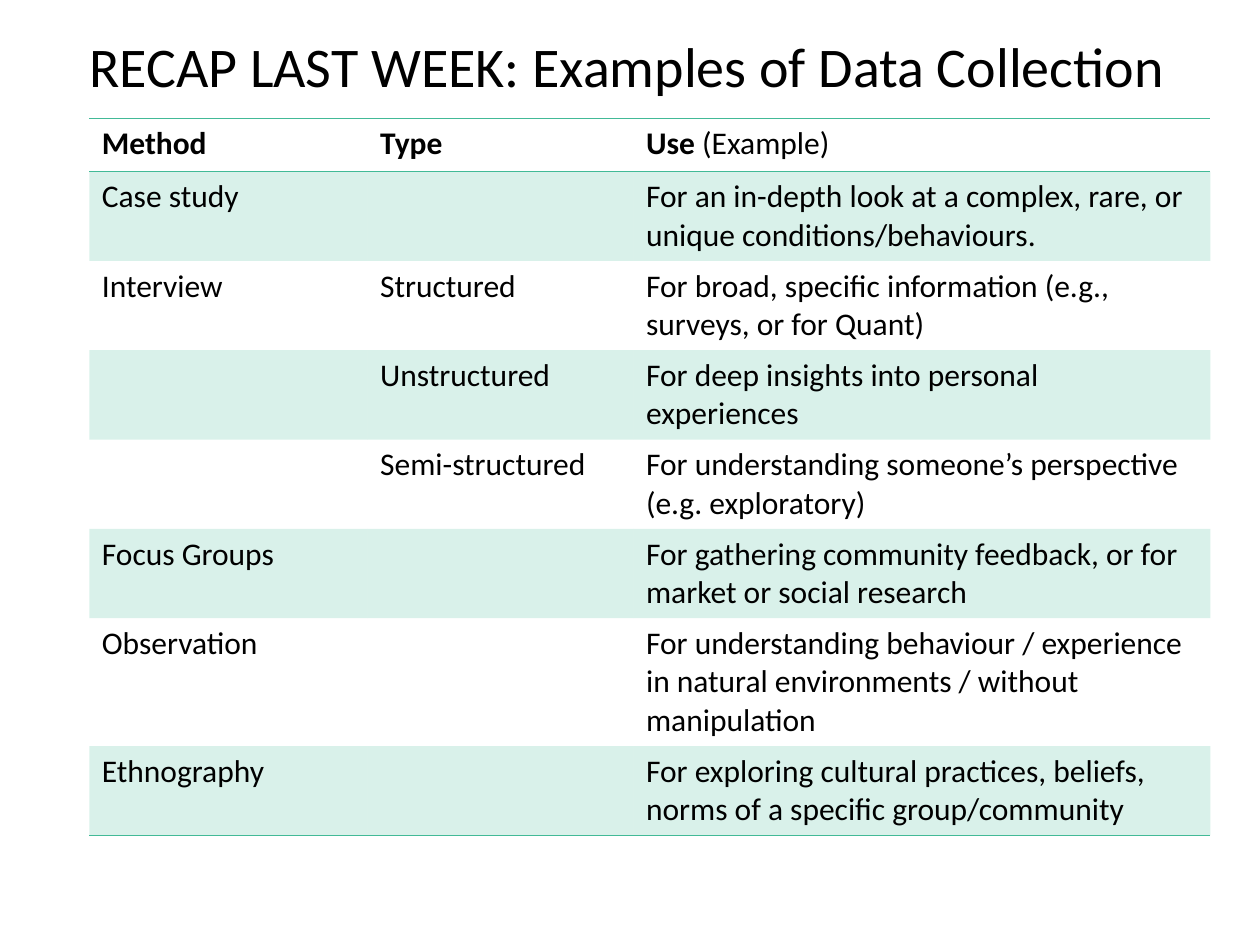
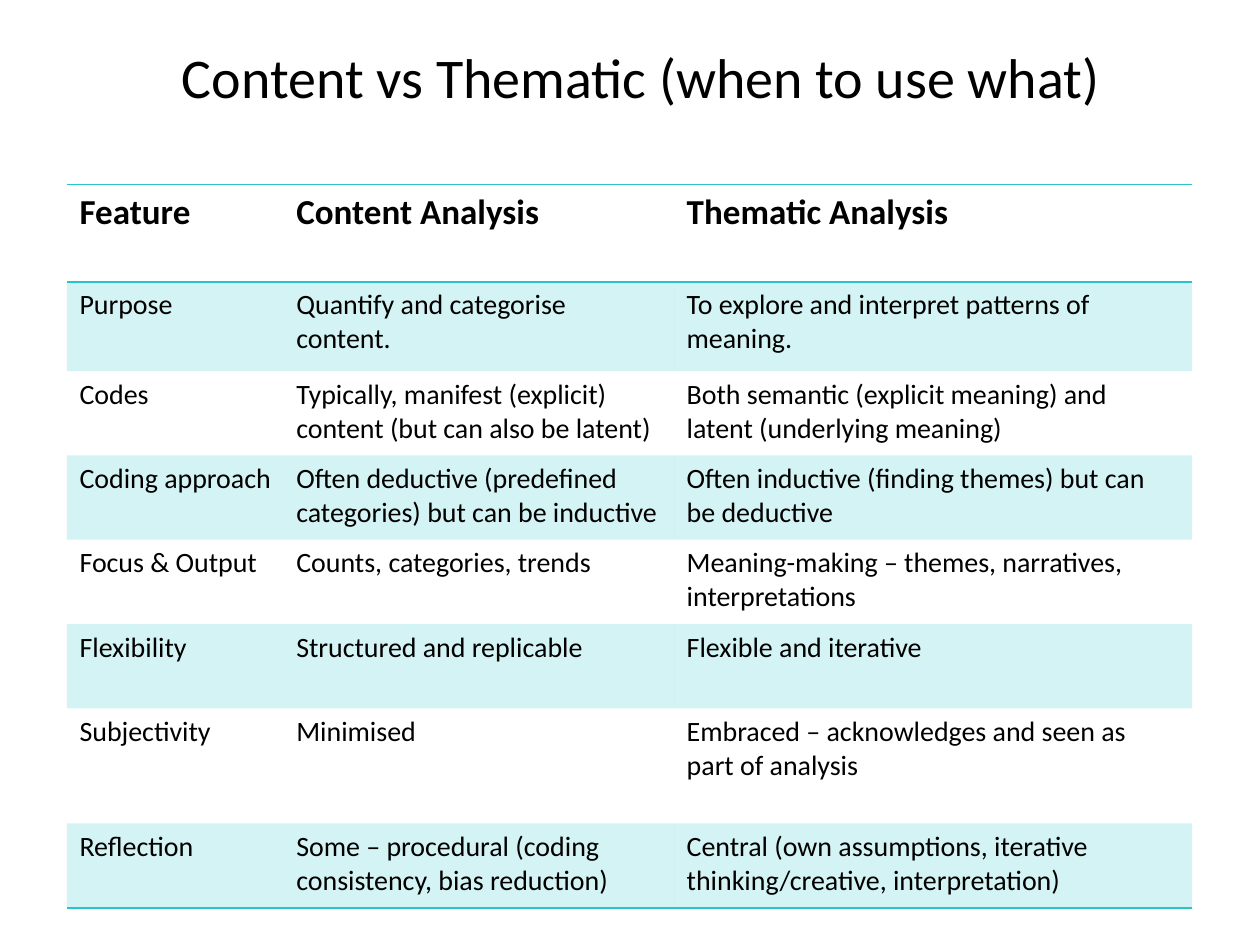
from lxml import etree
from pptx import Presentation
from pptx import util as u
from pptx.dml.color import RGBColor
from pptx.enum import text
from pptx.oxml.ns import qn

COLOURS = {"text": "000000", "green": "42BA97", "teal": "28C4CC"}
FONT = "Calibri"
BAND_ALPHA = 20
PLAIN_STYLE = "{2D5ABB26-0587-4C30-8999-92F81FD0307C}"

RECAP = {
    "title": "RECAP LAST WEEK: Examples of Data Collection",
    "title_box": (1.8, 0.66, 21.69, 2.31),
    "table_at": (1.8, 2.39),
    "accent": "green",
    "sizes": (18, 18),
    "cols": (5.61, 5.36, 11.63),
    "heights": (1.07, *[1.8] * 5, 2.58, 1.8),
    "rows": [
        ("Method", "Type", ("Use ", "(Example)")),
        ("Case study", "",
         "For an in-depth look at a complex, rare, or unique conditions/behaviours."),
        ("Interview", "Structured",
         "For broad, specific information (e.g., surveys, or for Quant)"),
        ("", "Unstructured", "For deep insights into personal experiences"),
        ("", "Semi-structured",
         "For understanding someone’s perspective (e.g. exploratory)"),
        ("Focus Groups", "",
         "For gathering community feedback, or for market or social research"),
        ("Observation", "",
         "For understanding behaviour / experience in natural environments"
         " / without manipulation"),
        ("Ethnography", "",
         "For exploring cultural practices, beliefs, norms of a specific group/community"),
    ],
}

COMPARISON = {
    "title": "Content vs Thematic (when to use what)",
    "title_box": (2.08, 0.89, 21.69, 1.96),
    "table_at": (1.35, 3.72),
    "accent": "teal",
    "sizes": (20, 16),
    "cols": (4.37, 7.87, 10.44),
    "heights": (1.96, 1.8, *[1.7] * 4, 2.32, 1.7),
    "rows": [
        ("Feature", "Content Analysis", "Thematic Analysis"),
        ("Purpose", "Quantify and categorise content.",
         "To explore and interpret patterns of meaning."),
        ("Codes", "Typically, manifest (explicit) content (but can also be latent)",
         "Both semantic (explicit meaning) and latent (underlying meaning)"),
        ("Coding approach",
         "Often deductive (predefined categories) but can be inductive",
         "Often inductive (finding themes) but can be deductive"),
        ("Focus & Output", "Counts, categories, trends",
         "Meaning-making – themes, narratives, interpretations"),
        ("Flexibility", "Structured and replicable", "Flexible and iterative"),
        ("Subjectivity", "Minimised",
         "Embraced – acknowledges and seen as part of analysis"),
        ("Reflection", "Some – procedural (coding consistency, bias reduction)",
         "Central (own assumptions, iterative thinking/creative, interpretation)"),
    ],
}


def set_attrs(obj, **values):
    for name, value in values.items():
        setattr(obj, name, value)


def add_run(p, words, size, bold=False):
    r = p.add_run()
    r.text = words
    set_attrs(r.font, name=FONT, size=u.Pt(size), bold=bold)
    r.font.color.rgb = RGBColor.from_string(COLOURS["text"])


def add_title(slide, words, box):
    tf = slide.shapes.add_textbox(*map(u.Cm, box)).text_frame
    set_attrs(tf, word_wrap=True, margin_left=0, margin_right=0,
              vertical_anchor=text.MSO_ANCHOR.TOP)
    p = tf.paragraphs[0]
    set_attrs(p, alignment=text.PP_ALIGN.CENTER, line_spacing=0.9)
    add_run(p, words, 32)


def add_border(cell, side, colour):
    """Rule one edge of a cell; side is a tag such as a:lnT."""
    ln = etree.SubElement(cell._tc.get_or_add_tcPr(), qn(side), w=str(u.Pt(1)))
    fill = etree.SubElement(ln, qn("a:solidFill"))
    etree.SubElement(fill, qn("a:srgbClr"), val=colour)


def fill_band(cell, colour):
    cell.fill.solid()
    cell.fill.fore_color.rgb = RGBColor.from_string(colour)
    srgb = cell._tc.tcPr.find(qn("a:solidFill")).find(qn("a:srgbClr"))
    etree.SubElement(srgb, qn("a:alpha"), val=str(BAND_ALPHA * 1000))


def write_cell(cell, content, size, header):
    """Write a string, or a tuple whose first part alone takes the header weight."""
    parts = content if isinstance(content, tuple) else (content,)
    for i, part in enumerate(parts):
        if part:
            add_run(cell.text_frame.paragraphs[0], part, size, header and i == 0)


def add_banded_table(slide, spec_sheet):
    rows, cols, heights = (spec_sheet[k] for k in ("rows", "cols", "heights"))
    colour = COLOURS[spec_sheet["accent"]]
    header_size, body_size = spec_sheet["sizes"]
    box = (*spec_sheet["table_at"], sum(cols), sum(heights))
    frame = slide.shapes.add_table(len(rows), len(cols), *map(u.Cm, box))
    for style in frame.element.iter(qn("a:tableStyleId")):
        style.text = PLAIN_STYLE
    table = frame.table
    for column, width in zip(table.columns, cols):
        column.width = u.Cm(width)
    for row, height in zip(table.rows, heights):
        row.height = u.Cm(height)

    for i, contents in enumerate(rows):
        header, last = i == 0, i == len(rows) - 1
        for cell, content in zip(table.rows[i].cells, contents):
            write_cell(cell, content, header_size if header else body_size, header)
            if header:
                add_border(cell, "a:lnT", colour)
            if header or last:
                add_border(cell, "a:lnB", colour)
            if i % 2:
                fill_band(cell, colour)
            else:
                cell.fill.background()


def add_table_slide(prs, content):
    slide = prs.slides.add_slide(prs.slide_layouts[6])
    add_title(slide, content["title"], content["title_box"])
    add_banded_table(slide, content)


def main():
    prs = Presentation()
    set_attrs(prs, slide_width=u.Cm(25.4), slide_height=u.Cm(19.05))
    for content in (RECAP, COMPARISON):
        add_table_slide(prs, content)
    prs.save("out.pptx")


if __name__ == "__main__":
    main()
